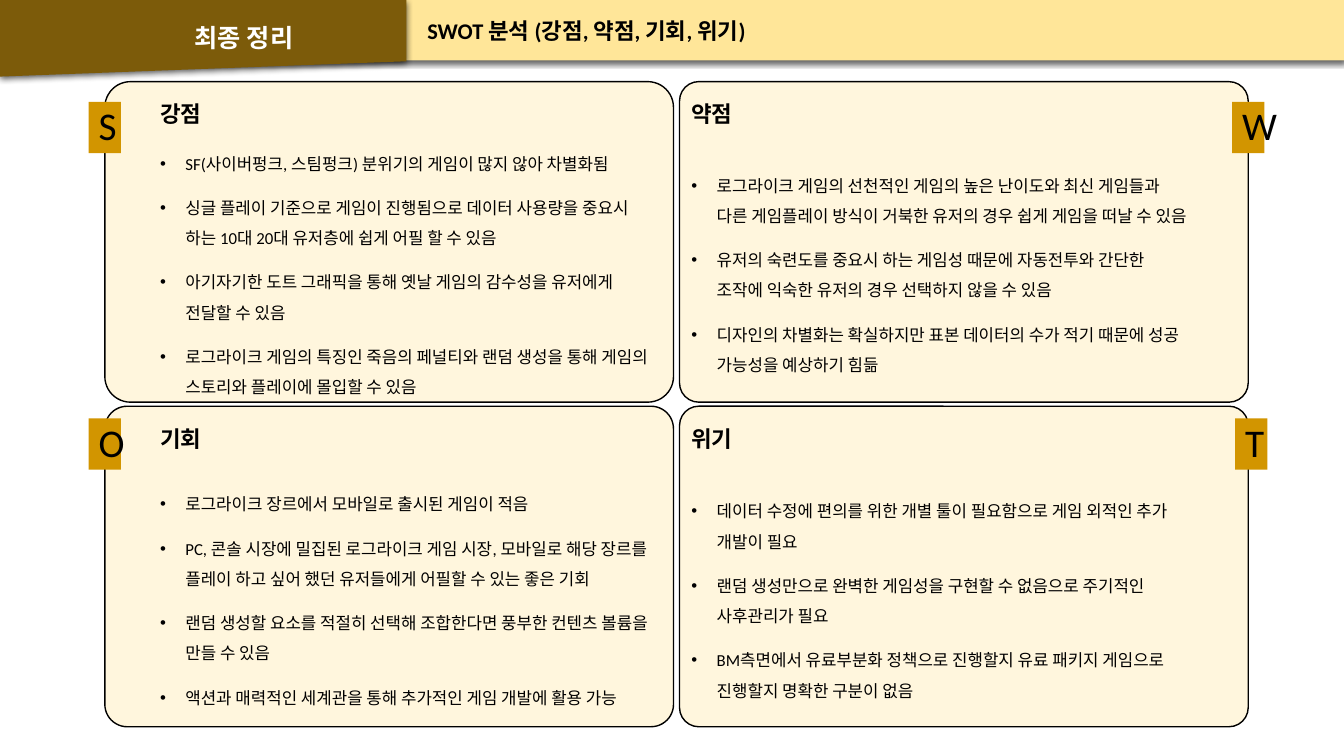
import dataclasses

import lxml.etree
import pptx
import pptx.dml.color
import pptx.enum.shapes
import pptx.enum.text
import pptx.oxml
import pptx.oxml.ns
import pptx.util

Inches = pptx.util.Inches
Pt = pptx.util.Pt
Shape = pptx.enum.shapes.MSO_SHAPE
Align = pptx.enum.text.PP_ALIGN
Anchor = pptx.enum.text.MSO_ANCHOR
qn = pptx.oxml.ns.qn

FONT = "Calibri"
BLACK = "000000"
Box = tuple[float, float, float, float]


@dataclasses.dataclass
class Panel:
    letter: str
    title: str
    points: list[str]
    curve: float  # corner radius ratio
    tag: float  # left edge of the letter tag


@dataclasses.dataclass
class Style:
    size: int
    color: str = BLACK
    bold: bool = False
    align: Align = Align.LEFT
    anchor: Anchor = Anchor.MIDDLE
    line: float = 1.0
    bullet: bool = False


HEAD = Style(16, bold=True, line=1.5)
BODY = Style(12, line=1.5, bullet=True)
TAG = Style(28, align=Align.CENTER, anchor=Anchor.TOP, line=0.9)
TITLE = Style(18, "FFFFFF", bold=True, align=Align.CENTER, line=1.5)
TOPIC = Style(16, bold=True)

# Row by row: strengths, weaknesses, opportunities, threats
PANELS = [
    Panel("S", "강점", [
        "SF(사이버펑크, 스팀펑크) 분위기의 게임이 많지 않아 차별화됨",
        "싱글 플레이 기준으로 게임이 진행됨으로 데이터 사용량을 중요시 하는 10대 20대 유저층에 쉽게 어필 할 수 있음",
        "아기자기한 도트 그래픽을 통해 옛날 게임의 감수성을 유저에게 전달할 수 있음",
        "로그라이크 게임의 특징인 죽음의 페널티와 랜덤 생성을 통해 게임의 스토리와 플레이에 몰입할 수 있음",
    ], 0.08, 0.88),
    Panel("W", "약점", [
        "로그라이크 게임의 선천적인 게임의 높은 난이도와 최신 게임들과 다른 게임플레이 방식이 거북한 유저의 경우 쉽게 게임을 떠날 수 있음",
        "유저의 숙련도를 중요시 하는 게임성 때문에 자동전투와 간단한 조작에 익숙한 유저의 경우 선택하지 않을 수 있음",
        "디자인의 차별화는 확실하지만 표본 데이터의 수가 적기 때문에 성공 가능성을 예상하기 힘듦",
    ], 0.06, 12.22),
    Panel("O", "기회", [
        "로그라이크 장르에서 모바일로 출시된 게임이 적음",
        "PC, 콘솔 시장에 밀집된 로그라이크 게임 시장, 모바일로 해당 장르를 플레이 하고 싶어 했던 유저들에게 어필할 수 있는 좋은 기회",
        "랜덤 생성할 요소를 적절히 선택해 조합한다면 풍부한 컨텐츠 볼륨을 만들 수 있음",
        "액션과 매력적인 세계관을 통해 추가적인 게임 개발에 활용 가능",
    ], 0.07, 0.88),
    Panel("T", "위기", [
        "데이터 수정에 편의를 위한 개별 툴이 필요함으로 게임 외적인 추가 개발이 필요",
        "랜덤 생성만으로 완벽한 게임성을 구현할 수 없음으로 주기적인 사후관리가 필요",
        "BM측면에서 유료부분화 정책으로 진행할지 유료 패키지 게임으로 진행할지 명확한 구분이 없음",
    ], 0.06, 12.25),
]


def paint(code: str) -> pptx.dml.color.RGBColor:
    return pptx.dml.color.RGBColor.from_string(code)


def shape(slide, kind: Shape, box: Box, fill: str, line: str = ""):
    item = slide.shapes.add_shape(kind, *map(Inches, box))
    item.shadow.inherit = False
    item.fill.solid()
    item.fill.fore_color.rgb = paint(fill)
    if line:
        item.line.color.rgb = paint(line)
        item.line.width = Pt(1)
    else:
        item.line.fill.background()
    return item


def shade(item) -> None:
    """Add a soft shadow below the shape."""
    effects = item._element.spPr.find(qn("a:effectLst"))
    outer = lxml.etree.SubElement(
        effects, qn("a:outerShdw"), blurRad=str(Pt(4.5)),
        dist=str(Pt(1.5)), dir="5400000", algn="t", rotWithShape="0")
    color = lxml.etree.SubElement(outer, qn("a:srgbClr"), val=BLACK)
    lxml.etree.SubElement(color, qn("a:alpha"), val="63000")


def write(item, lines: list[str], style: Style) -> None:
    frame = item.text_frame
    frame.word_wrap = True
    frame.vertical_anchor = style.anchor
    frame.text = "\n".join(lines)
    for index, para in enumerate(frame.paragraphs):
        para.alignment = style.align
        para.line_spacing = style.line
        para.space_before = Pt(10 if index else 0)
        if style.bullet:
            props = para._p.get_or_add_pPr()
            props.set("marL", str(Inches(0.25)))
            props.set("indent", str(Inches(-0.25)))
            lxml.etree.SubElement(props, qn("a:buFont"), typeface="Arial")
            lxml.etree.SubElement(props, qn("a:buChar"), char="•")
        for run in para.runs:
            run.font.name = FONT
            run.font.size = Pt(style.size)
            run.font.bold = style.bold
            run.font.color.rgb = paint(style.color)


def label(slide, box: Box, lines: list[str], style: Style) -> None:
    write(slide.shapes.add_textbox(*map(Inches, box)), lines, style)


def banner(slide) -> None:
    shade(shape(slide, Shape.RECTANGLE, (0, 0, 13.33, 0.6), "FFE699"))
    flap = shape(slide, Shape.FLOWCHART_MANUAL_INPUT, (0, 0, 4.03, 0.76), "7C5B0A")
    flap.rotation = 180
    shade(flap)
    label(slide, (0.92, 0.04, 3, 0.52), ["최종 정리"], TITLE)
    label(slide, (4.14, 0.12, 8.28, 0.36), ["SWOT 분석 (강점, 약점, 기회, 위기)"], TOPIC)


def quadrant(slide, panel: Panel, row: int, col: int) -> None:
    top = 0.81 + 3.22 * row
    left = 1.49 + 5.27 * col
    card = shape(slide, Shape.ROUNDED_RECTANGLE,
                 (1.04 + 5.7 * col, top, 5.64, 3.18), "FFF6DD", BLACK)
    card.adjustments[0] = panel.curve
    tag = shape(slide, Shape.RECTANGLE,
                (panel.tag, 1.01 + 3.14 * row, 0.32, 0.51), "D29500")
    write(tag, [panel.letter], TAG)
    label(slide, (left, 1.38 + 3.23 * row, 5.18, 2.6), panel.points, BODY)
    label(slide, (left, top, 5.18, 0.51), [panel.title], HEAD)


def main() -> None:
    deck = pptx.Presentation()
    deck.slide_width = Inches(13.33)
    deck.slide_height = Inches(7.5)
    slide = deck.slides.add_slide(deck.slide_layouts[6])
    banner(slide)
    for index, panel in enumerate(PANELS):
        quadrant(slide, panel, *divmod(index, 2))
    deck.save("out.pptx")


if __name__ == "__main__":
    main()
